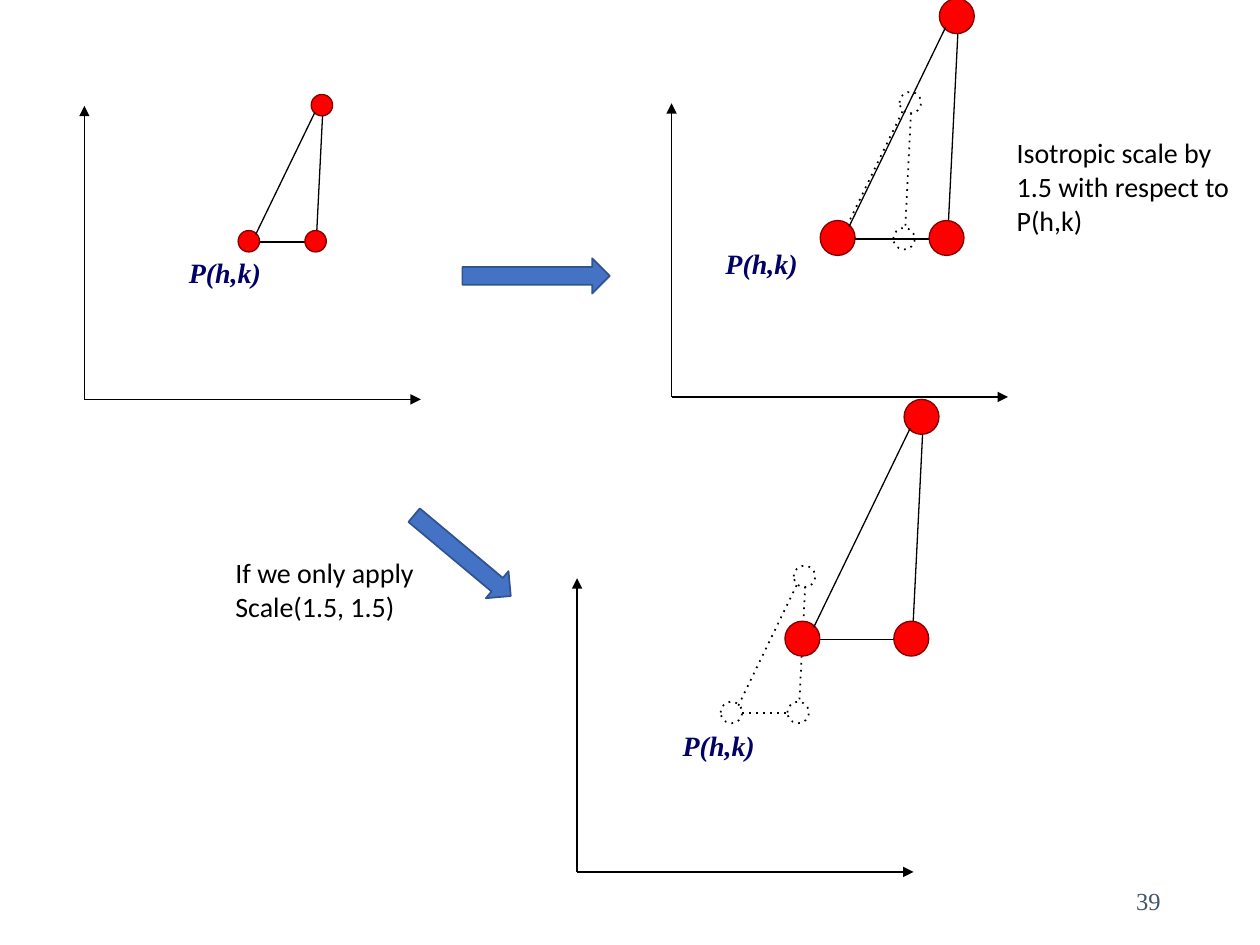
from lxml.etree import SubElement
from pptx import Presentation
from pptx.dml.color import RGBColor
from pptx.enum.shapes import MSO_CONNECTOR, MSO_SHAPE
from pptx.enum.text import MSO_ANCHOR, MSO_AUTO_SIZE, PP_ALIGN
from pptx.oxml.ns import qn
from pptx.util import Inches, Pt

BLACK = RGBColor(0x00, 0x00, 0x00)
WHITE = RGBColor(0xFF, 0xFF, 0xFF)
RED = RGBColor(0xFF, 0x00, 0x00)
MAROON = RGBColor(0x80, 0x00, 0x00)
NAVY = RGBColor(0x00, 0x00, 0x66)
SLATE = RGBColor(0x44, 0x54, 0x6A)
BLUE = RGBColor(0x44, 0x72, 0xC4)
DARK_BLUE = RGBColor(0x31, 0x53, 0x8F)

# Unscaled triangle, in inches from the top left of its box
NODE_SIZE = 0.17
APEX, LEFT_NODE, RIGHT_NODE = (0.58, 0), (0, 1.08), (0.53, 1.08)
EDGES = [
    ((0.14, 1.11), (0.61, 0.14)),
    ((0.62, 1.17), (0.67, 0.17)),
    ((0.17, 1.17), (0.64, 1.17)),
]
SCALE = 1.63
AXIS_WIDTH, AXIS_HEIGHT = 2.67, 2.33


def style_line(shape, color, width, dotted=False, arrow=False):
    shape.line.color.rgb = color
    shape.line.width = Pt(width)
    outline = shape.line._get_or_add_ln()
    if dotted:
        SubElement(outline, qn("a:prstDash")).set("val", "dot")
    if arrow:
        SubElement(outline, qn("a:tailEnd")).set("type", "triangle")


def add_line(shapes, start, end, width=0.75, dotted=False, arrow=False):
    points = [Inches(value) for value in (*start, *end)]
    line = shapes.add_connector(MSO_CONNECTOR.STRAIGHT, *points)
    style_line(line, BLACK, width, dotted, arrow)
    SubElement(line._element.spPr, qn("a:effectLst"))


def add_shape(shapes, kind, left, top, width, height, fill):
    shape = shapes.add_shape(
        kind, Inches(left), Inches(top), Inches(width), Inches(height))
    shape.shadow.inherit = False
    shape.fill.solid()
    shape.fill.fore_color.rgb = fill
    return shape


def add_text(slide, text, left, top, width, height, size=16, font="Calibri",
             color=BLACK, wrap=True):
    box = slide.shapes.add_textbox(
        Inches(left), Inches(top), Inches(width), Inches(height))
    frame = box.text_frame
    frame.word_wrap = wrap
    frame.auto_size = MSO_AUTO_SIZE.SHAPE_TO_FIT_TEXT
    span = frame.paragraphs[0].add_run()
    span.text = text
    span.font.size = Pt(size)
    span.font.name = font
    span.font.color.rgb = color
    return frame, span


def add_axes(slide, left, bottom):
    origin = (left, bottom)
    for end in ((left + AXIS_WIDTH, bottom), (left, bottom - AXIS_HEIGHT)):
        add_line(slide.shapes, origin, end, arrow=True)


def add_point_label(slide, left, top):
    _, span = add_text(slide, "P(h,k)", left, top, 0.8, 0.37,
                       font="Times New Roman", color=NAVY, wrap=False)
    span.font.bold = True
    span.font.italic = True


def add_triangle(slide, left, top, scale=1, dotted=False):
    shapes = slide.shapes.add_group_shape().shapes
    width = 1 if dotted else 0.75

    def place(point):
        return left + scale * point[0], top + scale * point[1]

    def add_node(point):
        size = NODE_SIZE * scale
        node = add_shape(shapes, MSO_SHAPE.OVAL, *place(point), size, size,
                         WHITE if dotted else RED)
        style_line(node, BLACK if dotted else MAROON, width, dotted)

    add_node(APEX)
    add_node(LEFT_NODE)
    for start, end in EDGES:
        add_line(shapes, place(start), place(end), width, dotted)
    add_node(RIGHT_NODE)


def add_block_arrow(slide, left, top, width, rotation=0):
    arrow = add_shape(slide.shapes, MSO_SHAPE.RIGHT_ARROW,
                      left, top, width, 0.28, BLUE)
    style_line(arrow, DARK_BLUE, 1)
    arrow.rotation = rotation


def add_page_number(slide, left, top, width, height):
    frame, _ = add_text(slide, "39", left, top, width, height, size=14,
                        font="Times New Roman", color=SLATE)
    frame.auto_size = MSO_AUTO_SIZE.NONE
    frame.vertical_anchor = MSO_ANCHOR.MIDDLE
    frame.paragraphs[0].alignment = PP_ALIGN.RIGHT


def main():
    deck = Presentation()
    deck.slide_width, deck.slide_height = Inches(10), Inches(7.5)
    slide = deck.slides.add_slide(deck.slide_layouts[6])
    add_page_number(slide, 7.06, 6.95, 2.25, 0.4)

    # Starting triangle
    add_axes(slide, 0.67, 3.17)
    add_point_label(slide, 1.4, 1.98)
    add_triangle(slide, 1.89, 0.75)

    # Scaled about P(h,k)
    add_axes(slide, 5.33, 3.15)
    add_point_label(slide, 5.66, 1.91)
    add_triangle(slide, 6.56, 0.73, dotted=True)
    add_triangle(slide, 6.51, -0.01, SCALE)
    add_text(slide, "Isotropic scale by 1.5 with respect to P(h,k)",
             7.97, 1.03, 2.01, 0.91)

    # Arrows to the two results
    add_block_arrow(slide, 3.67, 2.05, 1.17)
    add_block_arrow(slide, 3.17, 4.27, 1, 39.9)

    # Scaled about the origin
    add_axes(slide, 4.58, 6.92)
    add_point_label(slide, 5.32, 5.73)
    add_triangle(slide, 5.72, 4.49, dotted=True)
    add_text(slide, "If we only apply Scale(1.5, 1.5)", 1.77, 4.36, 2.01, 0.64)
    add_triangle(slide, 6.23, 3.17, SCALE)

    deck.save("out.pptx")


if __name__ == "__main__":
    main()
